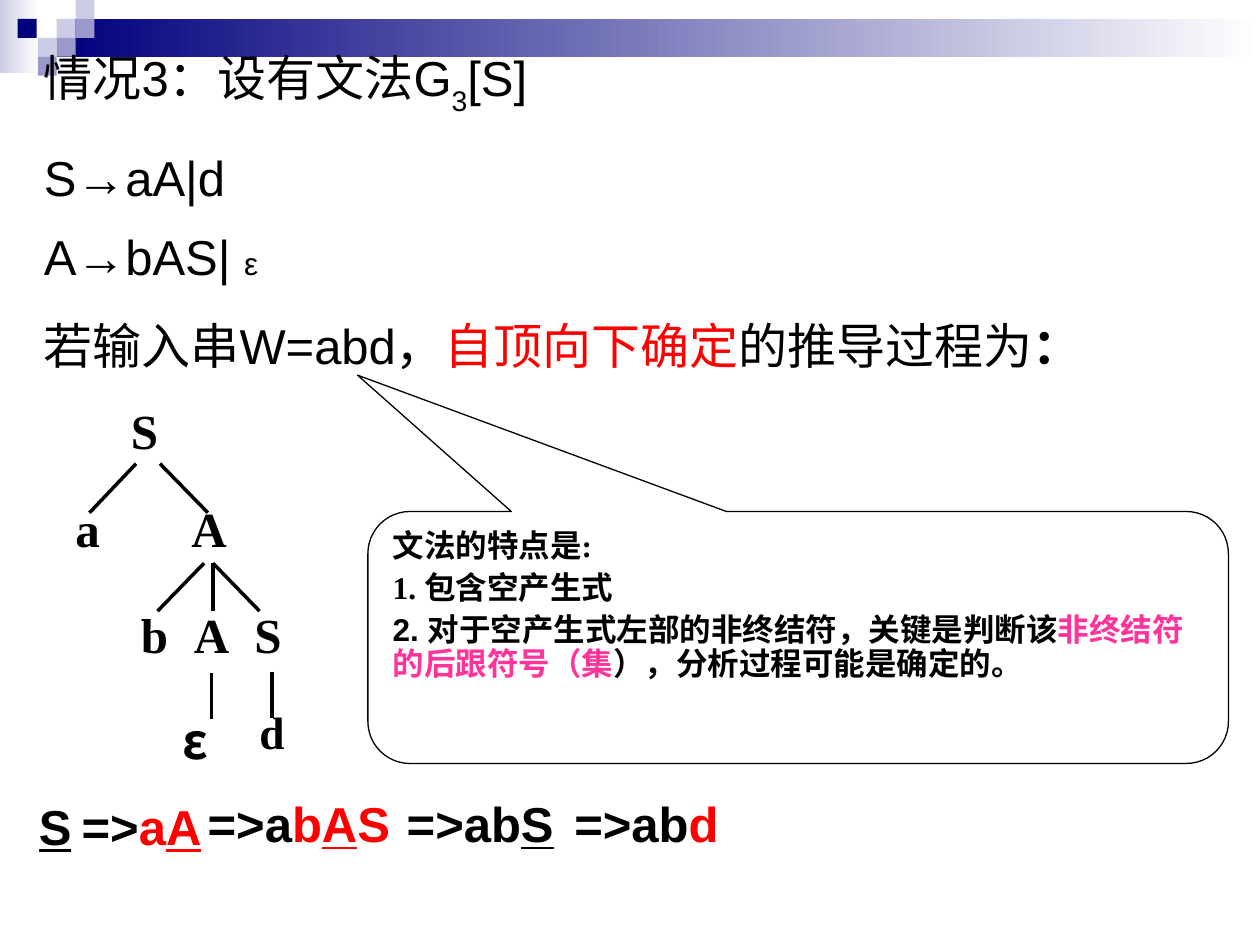
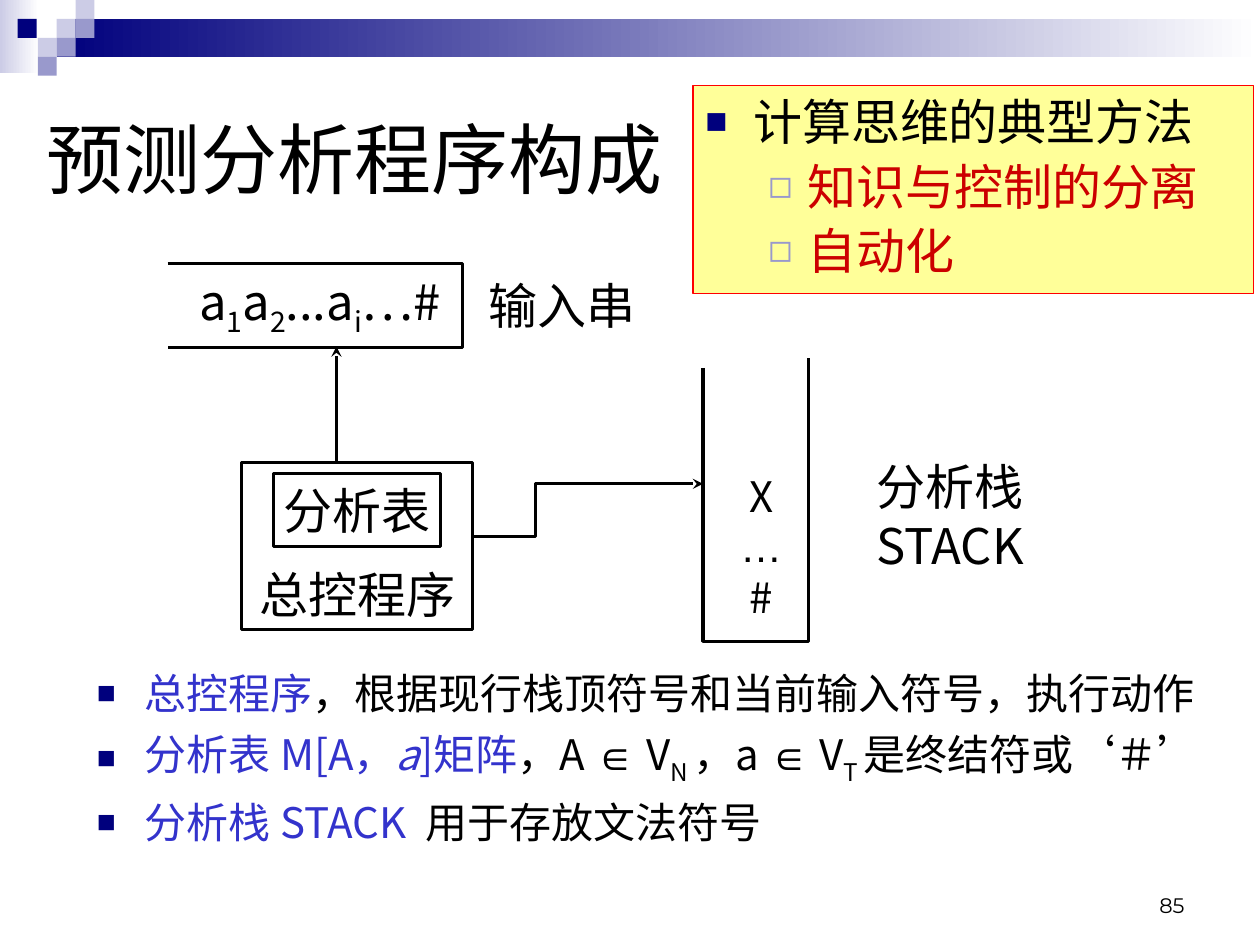
"""Build two slides on top-down parsing: an example grammar and the structure of a predictive parser."""
from dataclasses import dataclass

from lxml.etree import SubElement
from pptx import Presentation
from pptx.dml.color import RGBColor
from pptx.enum.shapes import MSO_CONNECTOR as Connector, MSO_SHAPE as Shape
from pptx.enum.text import MSO_ANCHOR as Anchor, PP_ALIGN as Align
from pptx.oxml.ns import qn
from pptx.util import Inches, Pt


@dataclass(frozen=True)
class Theme:
    black: str = "000000"
    white: str = "FFFFFF"
    navy: str = "00007D"
    lilac: str = "9999CC"
    pale: str = "CCCCE6"
    red: str = "FF0000"
    crimson: str = "CC0000"
    pink: str = "FF3399"
    blue: str = "3333CC"
    yellow: str = "FFFF99"
    sans: str = "Arial"
    serif: str = "Times New Roman"
    chinese: str = "Noto Sans CJK SC"
    number: str = "Montserrat"
    title: int = 44
    body: int = 28
    leaf: float = 25.9
    list: int = 24
    note: int = 18
    footer: int = 12
    thin: float = 0.75
    medium: float = 1.75
    thick: float = 2


theme = Theme()
bullet_styles = [("■", theme.navy, 75, 0.38, -0.38), ("◻", theme.lilac, 80, 0.81, -0.31)]


def write_text(shape, paragraphs, size=theme.body, font=theme.chinese, bold=False, align=Align.LEFT,
               anchor=Anchor.TOP, wrap=True, gaps=None, spacing=None, levels=None):
    frame = shape.text_frame
    frame.word_wrap = wrap
    frame.vertical_anchor = anchor
    for index, runs in enumerate(paragraphs):
        paragraph = frame.paragraphs[0] if index == 0 else frame.add_paragraph()
        paragraph.alignment = align
        paragraph.space_before = Pt(gaps[index] if gaps else 0)
        if spacing:
            paragraph.line_spacing = spacing
        properties = paragraph._p.get_or_add_pPr()
        if levels:
            paragraph.level = levels[index]
            character, color, percent, margin, indent = bullet_styles[levels[index]]
            properties.set("marL", str(Inches(margin)))
            properties.set("indent", str(Inches(indent)))
            SubElement(SubElement(properties, qn("a:buClr")), qn("a:srgbClr"), val=color)
            SubElement(properties, qn("a:buSzPct"), val=str(percent * 1000))
            SubElement(properties, qn("a:buFont"), typeface=theme.sans)
            SubElement(properties, qn("a:buChar"), char=character)
        paragraph.font.size = Pt(size)
        paragraph.font.bold = bold
        paragraph.font.color.rgb = RGBColor.from_string(theme.black)
        paragraph.font.name = font
        SubElement(properties.find(qn("a:defRPr")), qn("a:ea"), typeface=theme.chinese)
        for item in runs:
            text, style = (item, {}) if isinstance(item, str) else item
            run = paragraph.add_run()
            run.text = text
            for name in ("name", "bold", "italic", "underline", "size"):
                if name in style:
                    setattr(run.font, name, style[name])
            if "color" in style:
                run.font.color.rgb = RGBColor.from_string(style["color"])
            if "baseline" in style:
                run._r.get_or_add_rPr().set("baseline", str(style["baseline"] * 1000))


def draw_line(slide, start, end, width):
    line = slide.shapes.add_connector(Connector.STRAIGHT, *map(Inches, start + end))
    line.line.color.rgb = RGBColor.from_string(theme.black)
    line.line.width = Pt(width)
    SubElement(line._element.spPr, qn("a:effectLst"))
    return line


presentation = Presentation()
presentation.slide_width, presentation.slide_height = Inches(10), Inches(7.5)
grammar_slide, parser_slide = [
    presentation.slides.add_slide(presentation.slide_layouts[6]) for _ in range(2)
]

header = [
    (0, 0, 0.31, 0.58, theme.pale, True),
    (0.45, 0.15, 9.55, 0.3, theme.navy, True),
    *[(left, top, 0.15, 0.15, color, False) for left, top, color in [
        (0.45, 0.15, theme.pale), (0.6, 0, theme.pale), (0.6, 0.15, theme.lilac),
        (0.3, 0.3, theme.pale), (0.14, 0.15, theme.navy), (0.45, 0.3, theme.lilac),
        (0.3, 0.45, theme.lilac)]],
]
for slide in (grammar_slide, parser_slide):
    for *box, color, fades in header:
        shape = slide.shapes.add_shape(Shape.RECTANGLE, *map(Inches, box))
        shape.shadow.inherit = False
        shape.line.fill.background()
        if fades:
            shape.fill.gradient()
            shape.fill.gradient_angle = 0
            for stop, stop_color in zip(shape.fill.gradient_stops, (color, theme.white)):
                stop.color.rgb = RGBColor.from_string(stop_color)
        else:
            shape.fill.solid()
            shape.fill.fore_color.rgb = RGBColor.from_string(color)

serif = {"name": theme.serif}
sans = {"name": theme.sans}
chinese = {"name": theme.chinese}
red = {"color": theme.red}
underlined = {"underline": True}
subscript = {"baseline": -25}
blue = {"color": theme.blue}

grammar = grammar_slide.shapes.add_textbox(*map(Inches, (0.25, 0.33, 9.5, 2.7)))
write_text(grammar, [
    [("情况", serif), "3：", ("设有文法", serif), "G", ("3", {"baseline": -30}), "[S]"],
    ["S→aA|d"],
    ["A→bAS| ", ("ε", {"size": Pt(theme.note)})],
    [("若输入串", serif), "W=abd", ("，", serif), ("自顶向下确定", chinese | red),
     ("的", chinese), ("推导过程为", serif), ("：", serif | {"bold": True})],
], font=theme.sans, gaps=(0, 17.5, 11.2, 17.5))

branches = [
    ((1.08, 3.68), (0.71, 4.07)), ((1.27, 3.68), (1.65, 4.07)),
    ((1.62, 4.47), (1.25, 4.85)), ((1.69, 4.47), (1.69, 4.85)), ((1.69, 4.47), (2.06, 4.85)),
    ((1.68, 5.34), (1.68, 5.71)), ((2.16, 5.33), (2.16, 5.7)),
]
for start, end in branches:
    draw_line(grammar_slide, start, end, theme.thick)

tree_nodes = [
    ("S", 0.94, 3.13), ("a", 0.5, 3.91), ("A", 1.42, 3.91),
    ("b", 1.02, 4.75), ("A", 1.44, 4.75), ("S", 1.92, 4.75), ("ε", 1.35, 5.59),
]
for symbol, left, top in tree_nodes:
    node = grammar_slide.shapes.add_textbox(*map(Inches, (left, top, 0.56, 0.6)))
    write_text(node, [[symbol]], font=theme.chinese if symbol == "ε" else theme.serif, bold=True)
leaf = grammar_slide.shapes.add_textbox(*map(Inches, (1.96, 5.59, 0.75, 0.56)))
write_text(leaf, [["d"]], size=theme.leaf, font=theme.serif, bold=True, spacing=0.9)

derivation = [
    (0.21, 6.27, 0.5, [("S", underlined)]),
    (0.55, 6.27, 1.3, ["=>", ("a", red), ("A", red | underlined)]),
    (1.55, 6.25, 1.8, ["=>a", ("b", red), ("A", red | underlined), ("S", red)]),
    (3.13, 6.25, 1.5, ["=>ab", ("S", underlined)]),
    (4.46, 6.25, 1.5, ["=>ab", ("d", red)]),
]
for left, top, width, runs in derivation:
    step = grammar_slide.shapes.add_textbox(*map(Inches, (left, top, width, 0.57)))
    write_text(step, [runs], font=theme.sans, bold=True)

callout = grammar_slide.shapes.add_shape(
    Shape.ROUNDED_RECTANGULAR_CALLOUT, *map(Inches, (2.92, 4.06, 6.83, 2)))
for index, value in enumerate((-0.512, -1.041, 0.167)):
    callout.adjustments[index] = value
pink = {"color": theme.pink}
write_text(callout, [
    [("文法的特点是:", serif)],
    [("1. 包含空产生式", serif)],
    ["2. 对于空产生式左部的非终结符，关键是判断该", ("非终结符的后跟符号（集", pink),
     "），分析过程可能是确定的。"],
], size=theme.note, font=theme.sans, bold=True, gaps=(0, 4.5, 4.5), spacing=0.9)

control_box, table_box, method_box = [
    parser_slide.shapes.add_shape(Shape.RECTANGLE, *map(Inches, box))
    for box in [(1.92, 3.67, 1.83, 1.33), (2.17, 3.76, 1.33, 0.58), (5.5, 0.68, 4.45, 1.65)]
]
for shape, fill, color, width in [
    (callout, theme.white, theme.black, theme.thin),
    (control_box, None, theme.black, theme.medium),
    (table_box, None, theme.black, theme.medium),
    (method_box, theme.yellow, theme.red, theme.thin),
]:
    shape.shadow.inherit = False
    shape.line.color.rgb = RGBColor.from_string(color)
    shape.line.width = Pt(width)
    if fill:
        shape.fill.solid()
        shape.fill.fore_color.rgb = RGBColor.from_string(fill)
    else:
        shape.fill.background()

write_text(control_box, [["总控程序"]], align=Align.CENTER, anchor=Anchor.BOTTOM, wrap=False)
write_text(table_box, [["分析表"]], align=Align.CENTER, anchor=Anchor.MIDDLE, wrap=False)
crimson = {"color": theme.crimson}
write_text(method_box, [
    ["计算思维的典型方法"], [("知识与控制的分离", crimson)], [("自动化", crimson)],
], gaps=(0, 3.5, 3), levels=(0, 1, 1))

stack_outline = [(5.58, 2.92), (5.58, 5.09), (6.42, 5.09), (6.42, 2.84)]
input_outline = [(1.33, 2.09), (3.67, 2.09), (3.67, 2.76), (1.33, 2.76)]
stack_arrow = [(3.75, 4.26), (4.25, 4.26), (4.25, 3.84), (5.58, 3.84)]
outlines = []
for points in (stack_outline, input_outline, stack_arrow):
    first, *rest = [tuple(map(Inches, point)) for point in points]
    builder = parser_slide.shapes.build_freeform(*first)
    builder.add_line_segments(rest, close=False)
    outline = builder.convert_to_shape()
    outline.shadow.inherit = False
    outline.fill.background()
    outline.line.color.rgb = RGBColor.from_string(theme.black)
    outline.line.width = Pt(theme.medium)
    outlines.append(outline)
input_arrow = draw_line(parser_slide, (2.67, 3.67), (2.67, 2.75), theme.medium)
for arrow in (outlines[-1], input_arrow):
    SubElement(arrow.line._get_or_add_ln(), qn("a:tailEnd"), type="stealth")

labels = [
    ((5.75, 3.67, 0.58, 1.33), theme.list, [["X"], [("…", sans)], ["#"]]),
    ((3.42, 2.17, 2.08, 0.5), theme.body, [["输入串"]]),
    ((6.5, 3.84, 2.08, 0.5), theme.body, [["分析栈"], ["STACK"]]),
    ((1.34, 2.17, 2.4, 0.5), theme.body,
     [["a", ("1", subscript), "a", ("2", subscript), "...a", ("i", subscript), "…#"]]),
]
for box, size, paragraphs in labels:
    label = parser_slide.shapes.add_textbox(*map(Inches, box))
    write_text(label, paragraphs, size=size, align=Align.CENTER, anchor=Anchor.MIDDLE)

parts = parser_slide.shapes.add_textbox(*map(Inches, (0.67, 5.25, 9.06, 1.97)))
write_text(parts, [
    [("总控程序", blue), "，根据现行栈顶符号和当前输入符号，执行动作"],
    [("分析表 M[A，", blue), ("a", blue | {"italic": True}), ("]矩阵", blue), "，A ",
     ("∈", sans), " V", ("N ", subscript), "，a ", ("∈", sans), " V", ("T ", subscript),
     "是终结符或", ("‘＃’", serif)],
    [("分析栈 STACK  ", blue), "用于存放文法符号"],
], size=theme.list, gaps=(0, 6, 6), levels=(0, 0, 0))

title = parser_slide.shapes.add_textbox(*map(Inches, (0.27, 0.5, 9.23, 1.5)))
write_text(title, [["预测分析程序构成"]], size=theme.title, anchor=Anchor.MIDDLE)
page_number = parser_slide.shapes.add_textbox(*map(Inches, (7.17, 6.83, 2.33, 0.5)))
write_text(page_number, [["85"]], size=theme.footer, font=theme.number,
           align=Align.RIGHT, anchor=Anchor.BOTTOM)

presentation.save("out.pptx")
